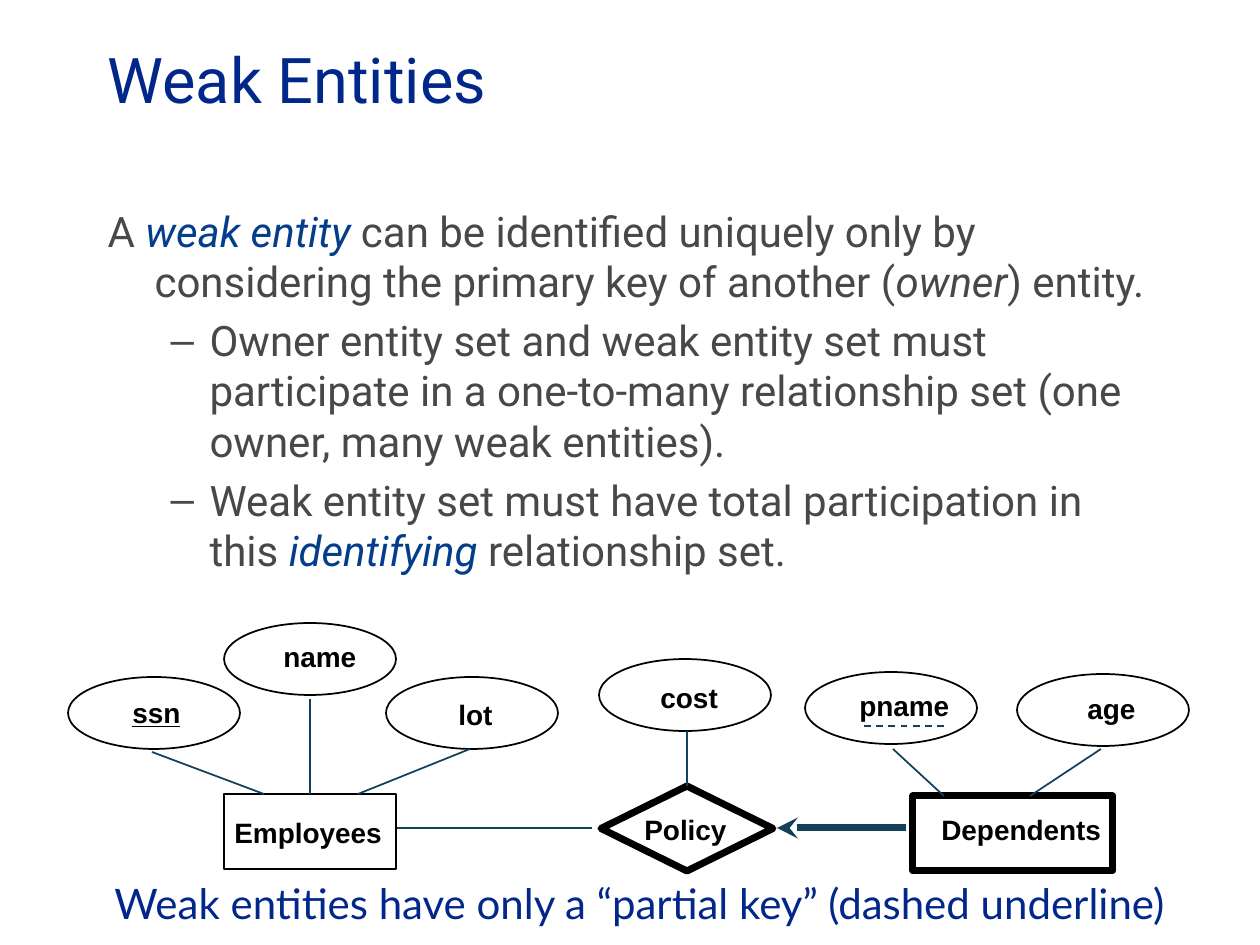
from lxml import etree
from pptx import Presentation
from pptx.dml.color import RGBColor
from pptx.enum.dml import MSO_LINE
from pptx.enum.shapes import MSO_CONNECTOR, MSO_SHAPE
from pptx.enum.text import MSO_ANCHOR, MSO_AUTO_SIZE, PP_ALIGN
from pptx.oxml.ns import qn
from pptx.util import Emu, Pt

STRAIGHT = MSO_CONNECTOR.STRAIGHT
OVAL, RECTANGLE, DIAMOND = MSO_SHAPE.OVAL, MSO_SHAPE.RECTANGLE, MSO_SHAPE.DIAMOND
DASH = MSO_LINE.DASH
LEFT = PP_ALIGN.LEFT
TOP, MIDDLE = MSO_ANCHOR.TOP, MSO_ANCHOR.MIDDLE
NO_FIT, GROW = MSO_AUTO_SIZE.NONE, MSO_AUTO_SIZE.SHAPE_TO_FIT_TEXT

SCALE = 914400 / 126
COLORS = {"title": "002789", "body": "484848", "term": "043D89",
          "ink": "000000", "link": "14405C"}

TITLE = "Weak Entities"
CAPTION = "Weak entities have only a “partial key” (dashed underline)"
BODY = [
    (0, [("A ", "body", False), ("weak entity ", "term", True),
         ("can be identified uniquely only by considering the primary key of another (", "body", False),
         ("owner", "body", True), (") entity.", "body", False)]),
    (1, [("Owner entity set and weak entity set must participate in a one-to-many "
          "relationship set (one owner, many weak entities).", "body", False)]),
    (1, [("Weak entity set must have total participation in this ", "body", False),
         ("identifying ", "term", True), ("relationship set.", "body", False)]),
]
INDENTS = {0: (47, -47), 1: (102, -39)}

OVAL_SIZE = (172, 72)
LABEL_HEIGHT = 45
ATTRIBUTES = [
    ("ssn", (68, 677), (120, 689, 74)),
    ("name", (224, 623), (271, 633, 99)),
    ("lot", (386, 677), (446, 691, 60)),
    ("cost", (599, 659), (648, 674, 83)),
    ("pname", (805, 672), (847, 682, 116)),
    ("age", (1017, 674), (1075, 685, 74)),
]
ENTITIES = [
    ("Employees", RECTANGLE, (224, 794, 172, 75), 1, (222, 809, 174)),
    ("Policy", DIAMOND, (601, 786, 172, 85), 4, (632, 806, 108)),
    ("Dependents", RECTANGLE, (913, 796, 200, 75), 4, (929, 806, 186)),
]
LINKS = [
    ((310, 699), (310, 794), "Employees"),
    ((152, 752), (264, 794), None),
    ((470, 749), (358, 794), None),
    ((687, 731), (687, 786), "Policy"),
    ((893, 749), (944, 796), None),
    ((1101, 749), (1030, 796), None),
    ((592, 828), (397, 828), None),
]
PARTIAL_KEY = ((944, 726), (859, 726))
ARROW = ((777, 828), (906, 828))


def px(value):
    return Emu(round(value * SCALE))


def color(name):
    return RGBColor.from_string(COLORS[name])


def place(shape, box):
    shape.left, shape.top, shape.width, shape.height = map(px, box)


def set_font(font, name, size, color_name, bold=False):
    font.name, font.size, font.bold = name, Pt(size), bold
    font.color.rgb = color(color_name)


def add_outline(slide, kind, box, weight):
    shape = slide.shapes.add_shape(kind, *map(px, box))
    shape.shadow.inherit = False
    shape.fill.background()
    shape.line.color.rgb = color("ink")
    shape.line.width = Pt(weight)
    return shape


def add_text(slide, text, box, name, size, color_name, bold=False):
    frame = slide.shapes.add_textbox(*map(px, box)).text_frame
    frame.word_wrap = False
    frame.auto_size = GROW
    paragraph = frame.paragraphs[0]
    paragraph.text = text
    paragraph.alignment = LEFT
    set_font(paragraph.font, name, size, color_name, bold)
    return paragraph


def add_label(slide, text, box):
    return add_text(slide, text, (*box, LABEL_HEIGHT), "Arial", 16, "ink", True)


def add_link(slide, start, end, weight=1):
    connector = slide.shapes.add_connector(STRAIGHT, *map(px, start + end))
    connector.line.color.rgb = color("link")
    connector.line.width = Pt(weight)
    etree.SubElement(connector._element.spPr, qn("a:effectLst"))
    return connector


def set_bullet(paragraph, level):
    properties = paragraph._p.get_or_add_pPr()
    margin, indent = INDENTS[level]
    properties.set("marL", str(px(margin)))
    properties.set("indent", str(px(indent)))
    if level:
        etree.SubElement(properties, qn("a:buChar")).set("char", "–")
    else:
        etree.SubElement(properties, qn("a:buNone"))


def fill_placeholders(slide):
    title = slide.shapes.title
    place(title, (95, 0, 1071, 157))
    title.text_frame.auto_size = NO_FIT
    title.text_frame.vertical_anchor = MIDDLE
    paragraph = title.text_frame.paragraphs[0]
    paragraph.text = TITLE
    paragraph.alignment = LEFT
    set_font(paragraph.font, "Roboto", 36, "title")

    body = slide.placeholders[1]
    place(body, (95, 199, 1071, 703))
    frame = body.text_frame
    frame.auto_size = NO_FIT
    frame.vertical_anchor = TOP
    for index, (level, runs) in enumerate(BODY):
        paragraph = frame.add_paragraph() if index else frame.paragraphs[0]
        paragraph.level = level
        paragraph.space_before = Pt(4.8)
        set_bullet(paragraph, level)
        for text, color_name, italic in runs:
            run = paragraph.add_run()
            run.text = text
            set_font(run.font, "Roboto", 24, color_name)
            run.font.italic = italic


def draw_diagram(slide):
    entities = {}
    for text, corner, label_box in ATTRIBUTES:
        add_outline(slide, OVAL, corner + OVAL_SIZE, 1)
        label = add_label(slide, text, label_box)
        label.font.underline = text == "ssn"
    for text, kind, box, weight, label_box in ENTITIES:
        entities[text] = add_outline(slide, kind, box, weight)
        add_label(slide, text, label_box)
    for start, end, entity in LINKS:
        link = add_link(slide, start, end)
        if entity:
            link.end_connect(entities[entity], 0)
    add_link(slide, *PARTIAL_KEY).line.dash_style = DASH
    arrow = add_link(slide, *ARROW, weight=4)
    line = arrow.line._get_or_add_ln()
    etree.SubElement(line, qn("a:headEnd")).set("type", "stealth")


def main():
    presentation = Presentation()
    presentation.slide_width, presentation.slide_height = px(1260), px(945)
    slide = presentation.slides.add_slide(presentation.slide_layouts[1])
    fill_placeholders(slide)
    draw_diagram(slide)
    add_text(slide, CAPTION, (102, 871, 1107, 63), "Lato", 24, "title")
    presentation.save("out.pptx")


if __name__ == "__main__":
    main()
